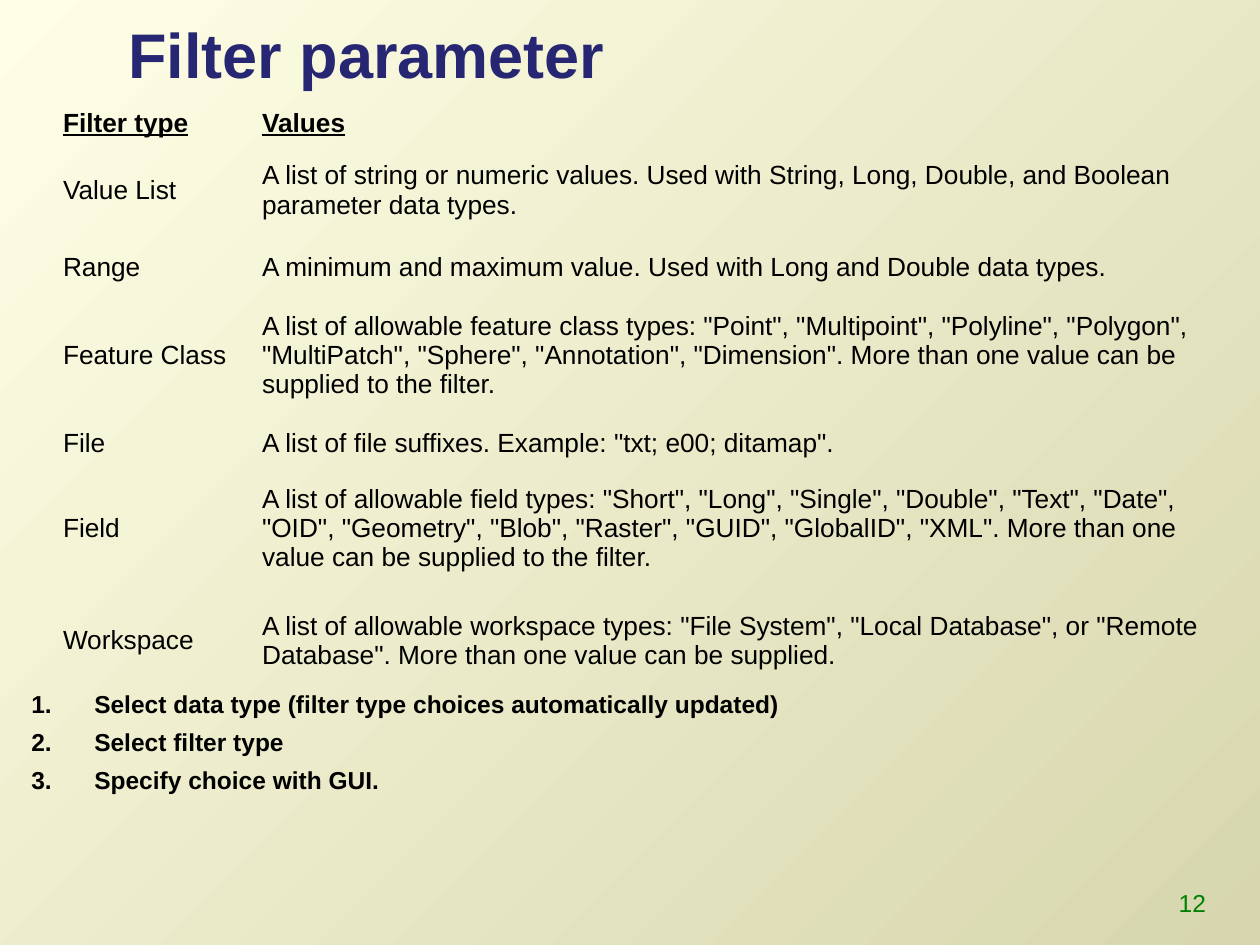
from dataclasses import dataclass

import pptx
import pptx.dml.color
import pptx.enum.text
import pptx.oxml
import pptx.oxml.ns
import pptx.util
from pptx.util import Inches

COLORS = {
    "background_start": "FFFFE6",
    "background_end": "D7D6AE",
    "title": "262673",
    "text": "000000",
    "number": "008000",
}
ALIGN = pptx.enum.text.PP_ALIGN
ANCHOR = pptx.enum.text.MSO_ANCHOR


@dataclass
class TextStyle:
    size: float
    color: str = "text"
    bold: bool = False
    underline: bool = False


@dataclass
class TextBox:
    left: float
    top: float
    width: float
    height: float
    lines: list[str]
    style: TextStyle
    align: ALIGN = ALIGN.LEFT
    anchor: ANCHOR = ANCHOR.TOP
    numbered: bool = False


@dataclass
class FilterRow:
    height: float
    filter_type: str
    values: str


TITLE = TextBox(0.92, 0.17, 8.75, 0.5, ["Filter parameter"],
                TextStyle(36, "title", bold=True), anchor=ANCHOR.MIDDLE)
STEPS = TextBox(0.15, 5.42, 9.5, 1, [
    "Select data type (filter type choices automatically updated)",
    "Select filter type",
    "Specify choice with GUI.",
], TextStyle(14, bold=True), numbered=True)
SLIDE_NUMBER = TextBox(7.17, 7, 2.5, 0.35, ["12"], TextStyle(14, "number"), ALIGN.RIGHT)

FILTER_ROWS = [
    FilterRow(0.33, "Filter type", "Values"),
    FilterRow(0.72, "Value List",
              "A list of string or numeric values. Used with String, Long, Double, "
              "and Boolean parameter data types."),
    FilterRow(0.5, "Range",
              "A minimum and maximum value. Used with Long and Double data types."),
    FilterRow(0.9, "Feature Class",
              'A list of allowable feature class types: "Point", "Multipoint", "Polyline", '
              '"Polygon", "MultiPatch", "Sphere", "Annotation", "Dimension". '
              'More than one value can be supplied to the filter.'),
    FilterRow(0.5, "File", 'A list of file suffixes. Example: "txt; e00; ditamap".'),
    FilterRow(0.83, "Field",
              'A list of allowable field types: "Short", "Long", "Single", "Double", "Text", '
              '"Date", "OID", "Geometry", "Blob", "Raster", "GUID", "GlobalID", "XML". '
              'More than one value can be supplied to the filter.'),
    FilterRow(0.93, "Workspace",
              'A list of allowable workspace types: "File System", "Local Database", or '
              '"Remote Database". More than one value can be supplied.'),
]
COLUMN_WIDTHS = [1.58, 7.75]


def rgb(name: str) -> pptx.dml.color.RGBColor:
    return pptx.dml.color.RGBColor.from_string(COLORS[name])


def format_runs(paragraph, style: TextStyle) -> None:
    for run in paragraph.runs:
        run.font.name = "Arial"
        run.font.size = pptx.util.Pt(style.size)
        run.font.bold = style.bold
        run.font.underline = style.underline
        run.font.color.rgb = rgb(style.color)


def add_number(paragraph) -> None:
    properties = paragraph._p.get_or_add_pPr()
    properties.set("marL", str(Inches(0.5)))
    properties.set("indent", str(-Inches(0.5)))
    namespace = pptx.oxml.ns.nsdecls("a")
    properties.append(pptx.oxml.parse_xml(
        f'<a:buClr {namespace}><a:srgbClr val="{COLORS["text"]}"/></a:buClr>'))
    properties.append(pptx.oxml.parse_xml(
        f'<a:buAutoNum {namespace} type="arabicPeriod"/>'))


def add_text(slide, box: TextBox) -> None:
    shape = slide.shapes.add_textbox(
        Inches(box.left), Inches(box.top), Inches(box.width), Inches(box.height))
    text_frame = shape.text_frame
    text_frame.word_wrap = True
    text_frame.vertical_anchor = box.anchor
    text_frame.text = "\n".join(box.lines)
    for index, paragraph in enumerate(text_frame.paragraphs):
        paragraph.alignment = box.align
        if box.numbered:
            add_number(paragraph)
        if index:
            paragraph.space_before = pptx.util.Pt(5)
        format_runs(paragraph, box.style)


def clear_cell(cell) -> None:
    properties = cell._tc.get_or_add_tcPr()
    for side in ("lnL", "lnR", "lnT", "lnB"):
        properties.append(pptx.oxml.parse_xml(
            f'<a:{side} {pptx.oxml.ns.nsdecls("a")}><a:noFill/></a:{side}>'))
    cell.fill.background()


def add_filter_table(slide, left: float, top: float) -> None:
    table = slide.shapes.add_table(
        len(FILTER_ROWS), len(COLUMN_WIDTHS), Inches(left), Inches(top),
        Inches(sum(COLUMN_WIDTHS)), Inches(sum(row.height for row in FILTER_ROWS))).table
    table.first_row = False
    table.horz_banding = False
    for column, width in zip(table.columns, COLUMN_WIDTHS):
        column.width = Inches(width)
    for index, filter_row in enumerate(FILTER_ROWS):
        row = table.rows[index]
        row.height = Inches(filter_row.height)
        is_header = index == 0
        style = TextStyle(15, bold=is_header, underline=is_header)
        for cell, text in zip(row.cells, (filter_row.filter_type, filter_row.values)):
            clear_cell(cell)
            cell.vertical_anchor = ANCHOR.MIDDLE
            cell.margin_left = cell.margin_right = Inches(0.08)
            cell.margin_top = cell.margin_bottom = Inches(0.05)
            cell.text_frame.text = text
            format_runs(cell.text_frame.paragraphs[0], style)


def set_background(slide) -> None:
    fill = slide.background.fill
    fill.gradient()
    fill.gradient_angle = 315
    for stop, name in zip(fill.gradient_stops, ("background_start", "background_end")):
        stop.color.rgb = rgb(name)


def main() -> None:
    presentation = pptx.Presentation()
    presentation.slide_width = Inches(10)
    presentation.slide_height = Inches(7.5)
    slide = presentation.slides.add_slide(presentation.slide_layouts[6])
    set_background(slide)
    add_text(slide, TITLE)
    add_filter_table(slide, 0.42, 0.8)
    add_text(slide, SLIDE_NUMBER)
    add_text(slide, STEPS)
    presentation.save("out.pptx")


if __name__ == "__main__":
    main()
